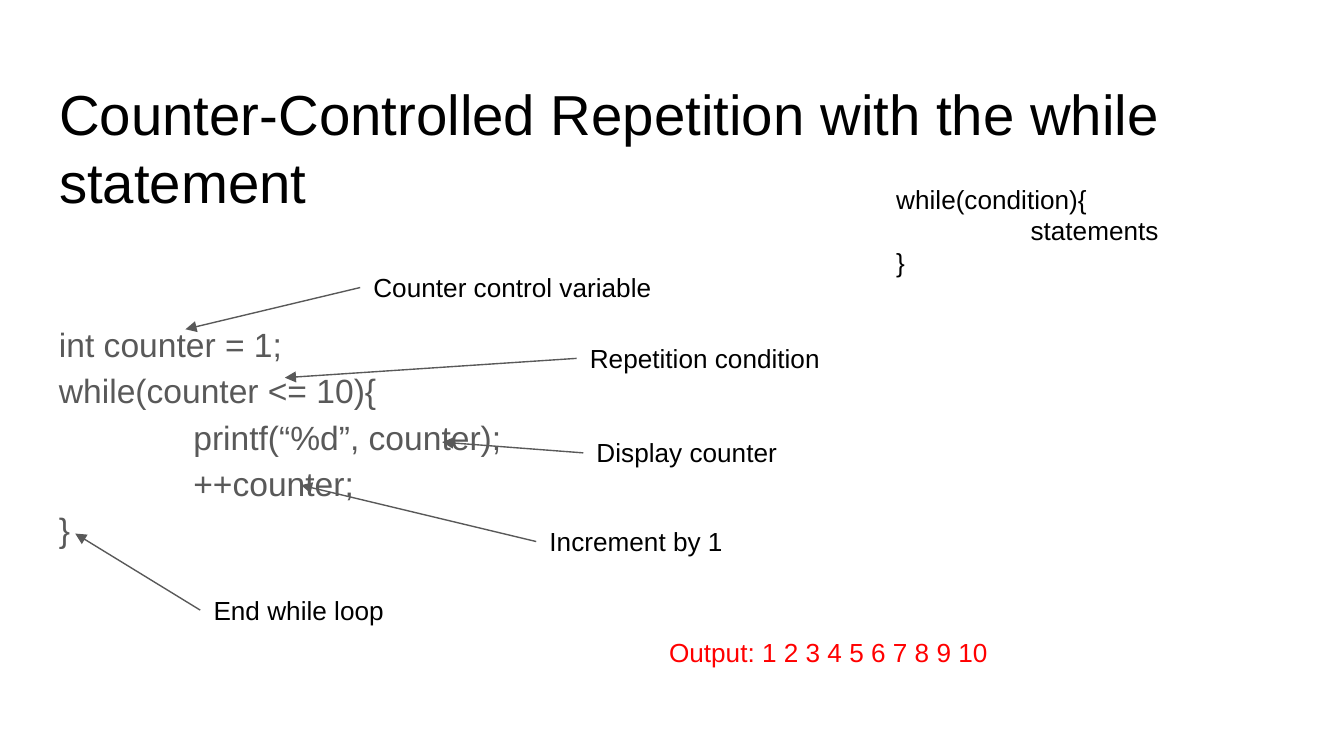
from dataclasses import dataclass

from lxml.etree import SubElement
from pptx import Presentation
from pptx.dml.color import RGBColor
from pptx.enum.shapes import MSO_CONNECTOR
from pptx.enum.text import MSO_ANCHOR, MSO_AUTO_SIZE, PP_ALIGN
from pptx.oxml.ns import qn
from pptx.shapes.autoshape import Shape
from pptx.slide import Slide
from pptx.util import Inches, Pt

BLACK = RGBColor(0x00, 0x00, 0x00)
GRAY = RGBColor(0x59, 0x59, 0x59)
RED = RGBColor(0xFF, 0x00, 0x00)
FONT = "Arial"
SLIDE_WIDTH = Inches(10)
SLIDE_HEIGHT = SLIDE_WIDTH * 9 // 16
INSET = Inches(0.1)
INDENT = Inches(1)
LABEL_HEIGHT_PERCENT = 7.82


@dataclass(frozen=True)
class AreaPercent:
    left: float
    top: float
    width: float
    height: float = LABEL_HEIGHT_PERCENT


@dataclass(frozen=True)
class Line:
    text: str
    indented: bool = False


@dataclass(frozen=True)
class Callout:
    text: str
    area: AreaPercent
    tip_x: float
    tip_y: float


TITLE = [Line("Counter-Controlled Repetition with the while statement")]
CODE = [
    Line("int counter = 1;"),
    Line("while(counter <= 10){"),
    Line("printf(“%d”, counter);", indented=True),
    Line("++counter;", indented=True),
    Line("}"),
]
SYNTAX = [Line("while(condition){"), Line("statements", indented=True), Line("}")]
OUTPUT = [Line("Output: 1 2 3 4 5 6 7 8 9 10")]
CALLOUTS = [
    Callout("Counter control variable", AreaPercent(26.8, 34.13, 27), 13.8, 43.56),
    Callout("Repetition condition", AreaPercent(42.9, 43.5, 24.1), 21.2, 49.96),
    Callout("Display counter", AreaPercent(43.4, 56, 18), 32.9, 58.49),
    Callout("Increment by 1", AreaPercent(39.9, 67.73, 17.6), 22.4, 64.18),
    Callout("End while loop", AreaPercent(14.9, 76.8, 21.1), 5.6, 70.58),
]


def across(percent: float) -> int:
    return round(SLIDE_WIDTH * percent / 100)


def down(percent: float) -> int:
    return round(SLIDE_HEIGHT * percent / 100)


def place(box: Shape, area: AreaPercent) -> None:
    box.left, box.top = across(area.left), down(area.top)
    box.width, box.height = across(area.width), down(area.height)


def fill_text(box: Shape, lines: list[Line], size: float, color: RGBColor,
              spacing: float = 1.0) -> None:
    frame = box.text_frame
    frame.word_wrap = True
    frame.auto_size = MSO_AUTO_SIZE.NONE
    frame.vertical_anchor = MSO_ANCHOR.TOP
    frame.margin_left = frame.margin_right = INSET
    frame.margin_top = frame.margin_bottom = INSET
    frame.text = "\n".join(line.text for line in lines)
    for paragraph, line in zip(frame.paragraphs, lines):
        paragraph.alignment = PP_ALIGN.LEFT
        paragraph.line_spacing = spacing
        if line.indented:
            paragraph._p.get_or_add_pPr().set("marL", str(INDENT))
        for span in paragraph.runs:
            span.font.name = FONT
            span.font.size = Pt(size)
            span.font.color.rgb = color


def add_text(page: Slide, area: AreaPercent, lines: list[Line], size: float = 14,
             color: RGBColor = BLACK, spacing: float = 1.0) -> Shape:
    box = page.shapes.add_textbox(0, 0, 0, 0)
    place(box, area)
    fill_text(box, lines, size, color, spacing)
    return box


def add_callout(page: Slide, callout: Callout) -> None:
    label = add_text(page, callout.area, [Line(callout.text)])
    arrow = page.shapes.add_connector(
        MSO_CONNECTOR.STRAIGHT, label.left, label.top + label.height // 2,
        across(callout.tip_x), down(callout.tip_y))
    arrow.begin_connect(label, 1)
    arrow.line.color.rgb = GRAY
    arrow.line.width = Pt(0.75)
    SubElement(arrow.line._get_or_add_ln(), qn("a:tailEnd"), type="triangle")
    SubElement(arrow._element.spPr, qn("a:effectLst"))


def main() -> None:
    deck = Presentation()
    deck.slide_width, deck.slide_height = SLIDE_WIDTH, SLIDE_HEIGHT
    page = deck.slides.add_slide(deck.slide_layouts.get_by_name("Title Only"))
    title = page.shapes.title
    place(title, AreaPercent(3.4, 8.71, 93.2, 11.2))
    fill_text(title, TITLE, 30.2, BLACK)
    add_text(page, AreaPercent(3.4, 40.27, 93.2, 34.13), CODE, 18, GRAY, 1.15)
    for callout in CALLOUTS:
        add_callout(page, callout)
    add_text(page, AreaPercent(48.8, 82.35, 45.6), OUTPUT, color=RED)
    add_text(page, AreaPercent(65.7, 22.45, 27.6, 16.18), SYNTAX)
    deck.save("out.pptx")


if __name__ == "__main__":
    main()
